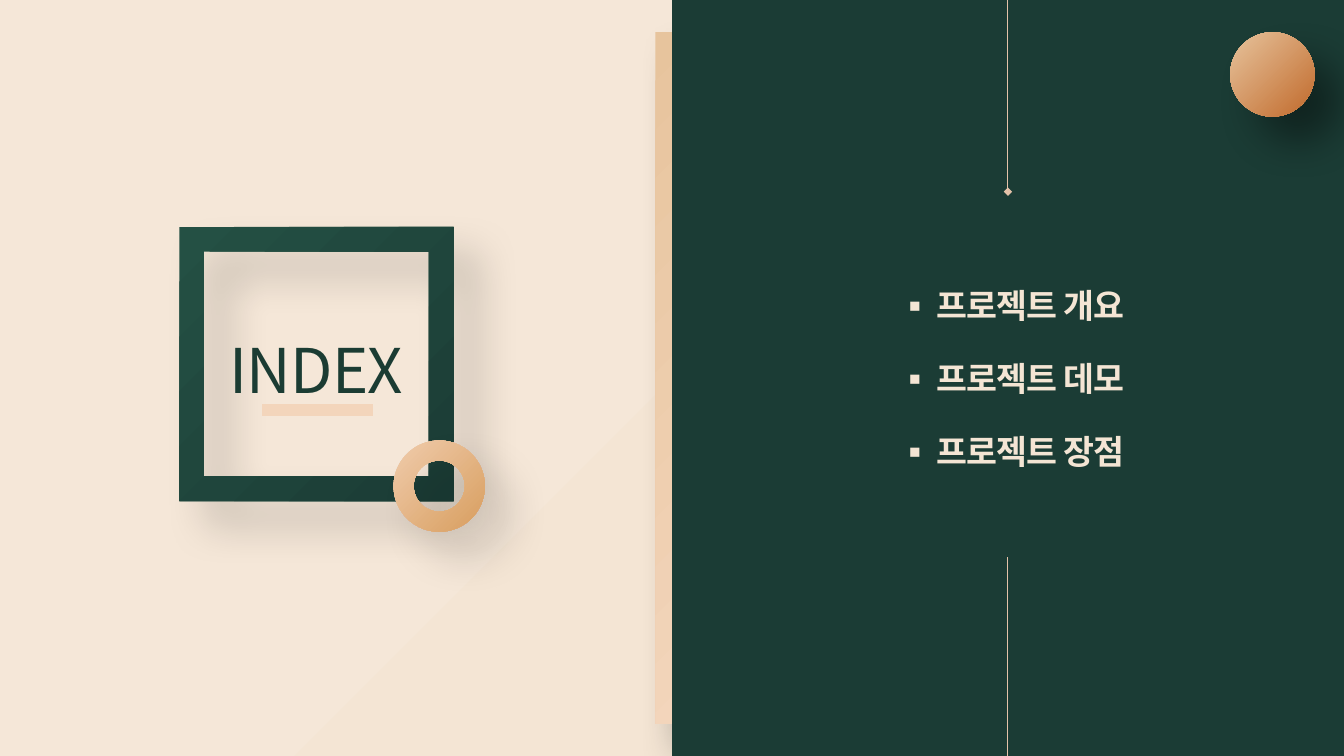
from lxml.etree import SubElement
from pptx import Presentation
from pptx.dml.color import RGBColor
from pptx.enum.shapes import MSO_CONNECTOR as LINE, MSO_SHAPE as SHAPE
from pptx.enum.text import MSO_ANCHOR as ANCHOR, PP_ALIGN as ALIGN
from pptx.oxml.ns import qn
from pptx.util import Cm, Pt

WIDTH, HEIGHT, MARGIN = 33.87, 19.05, 0.81
FONT = "Noto Sans CJK KR"
GREEN, CREAM, TAN, PEACH = "1B3C33", "F4E5D4", "E4C2A9", "F3D5BB"
TOPICS = ["프로젝트 개요", "프로젝트 데모", "프로젝트 장점"]


def color(value):
    """Turn a hex string into a colour."""
    return RGBColor.from_string(value)


def set_all(target, values):
    """Set every attribute named in a dict."""
    for name, value in values.items():
        setattr(target, name, value)


def add_xml(parent, tag, **attributes):
    """Append a child element and return it."""
    return SubElement(parent, qn(tag), {key: str(value) for key, value in attributes.items()})


def fill_gradient(fill, first, last):
    """Apply a two-colour gradient running from top left to bottom right."""
    fill.gradient()
    fill.gradient_angle = 315
    for stop, value in zip(fill.gradient_stops, (first, last)):
        stop.color.rgb = color(value)


def add_block(page, kind, box, colors, shadow=None, adjust=None):
    """Draw a gradient shape, with a soft shadow of the given opacity percentage."""
    shape = page.shapes.add_shape(kind, *map(Cm, box))
    fill_gradient(shape.fill, *colors)
    shape.line.fill.background()
    shape.shadow.inherit = False
    if adjust is not None:
        shape.adjustments[0] = adjust
    if shadow is not None:
        effects = shape._element.spPr.find(qn("a:effectLst"))
        outer = add_xml(effects, "a:outerShdw", blurRad=Pt(30), dist=Pt(26),
                        dir=45 * 60000, algn="tl", rotWithShape=0)
        shade = add_xml(outer, "a:srgbClr", val="000000")
        add_xml(shade, "a:alpha", val=shadow * 1000)


def add_line(shapes, start, end, value, width, tail=None):
    """Draw a straight line, optionally with an end marker."""
    line = shapes.add_connector(LINE.STRAIGHT, *map(Cm, start + end))
    line.line.color.rgb = color(value)
    line.line.width = Pt(width)
    properties = line._element.spPr
    if tail:
        add_xml(properties.find(qn("a:ln")), "a:tailEnd", type=tail)
    add_xml(properties, "a:effectLst")


def add_text_frame(page, box, inset):
    """Add a wrapping, vertically centred text box and return its frame."""
    frame = page.shapes.add_textbox(*map(Cm, box)).text_frame
    set_all(frame, {"word_wrap": True, "vertical_anchor": ANCHOR.MIDDLE})
    if not inset:
        set_all(frame, dict.fromkeys(
            ("margin_left", "margin_top", "margin_right", "margin_bottom"), 0))
    return frame


def add_span(para, text, value, **formats):
    """Add a run in the deck font with slightly tight spacing."""
    span = para.add_run()
    span.text = text
    set_all(span.font, {"name": FONT, **formats})
    span.font.color.rgb = color(value)
    properties = span._r.get_or_add_rPr()
    properties.set("spc", "-60")
    add_xml(properties, "a:ea", typeface=FONT)


def add_backdrop(page, box):
    """Paint the cream background, the peach strip and the green right half."""
    left, top, width, height = box
    middle = left + width / 2
    fill_gradient(page.background.fill, "F5E7D8", CREAM)
    add_block(page, SHAPE.RECTANGLE,
              (middle - 0.42, top + MARGIN, 0.94, height - 2 * MARGIN),
              ("E7C49D", PEACH), shadow=40)
    add_block(page, SHAPE.RECTANGLE, (middle, top, width / 2, height), ("1B3C35", GREEN))


def add_title(page, box):
    """Draw the framed and underlined title with its ring."""
    left, top, width, height = box
    add_block(page, SHAPE.FRAME, box, ("245044", "1B3C35"), shadow=17, adjust=0.09)
    add_block(page, SHAPE.DONUT, (left + 5.4, top + 5.38, 2.3, 2.3),
              ("F0CCAC", "D89E5F"), shadow=17, adjust=0.22)
    frame = add_text_frame(page, (left, top + 2.61, width, 1.57), inset=False)
    para = frame.paragraphs[0]
    set_all(para, {"alignment": ALIGN.CENTER, "line_spacing": 1.2})
    add_span(para, "INDEX", GREEN, size=Pt(44))
    center, base = left + width / 2 + 0.03, top + 4.61
    add_line(page.shapes, (center - 1.4, base), (center + 1.4, base), PEACH, 8)


def add_topics(page, box):
    """Write the bulleted topics between two vertical lines, beside a sphere."""
    left, top, width, height = box
    frame = add_text_frame(page, (left + 5.47, top + MARGIN, 9.37, height - 2 * MARGIN), inset=True)
    for index, topic in enumerate(TOPICS):
        para = frame.paragraphs[0] if index == 0 else frame.add_paragraph()
        if index:
            para.space_before = Pt(23.2)
        properties = para._p.get_or_add_pPr()
        properties.set("marL", str(Cm(0.95)))
        properties.set("indent", str(-Cm(0.95)))
        add_xml(properties, "a:buFont", typeface=FONT)
        add_xml(properties, "a:buChar", char="▪")
        add_span(para, topic, CREAM, size=Pt(24), bold=True)
    add_block(page, SHAPE.OVAL, (left + width - 2.87, top + MARGIN, 2.13, 2.13),
              ("E7C49D", "C16A2C"), shadow=40)
    center = left + width / 2
    lines = page.shapes.add_group_shape().shapes
    add_line(lines, (center, top), (center, top + 4.83), TAN, 0.75, tail="diamond")
    add_line(lines, (center, top + 14.04), (center, top + height), TAN, 0.75)


def main():
    """Build and save the index slide."""
    deck = Presentation()
    set_all(deck, {"slide_width": Cm(WIDTH), "slide_height": Cm(HEIGHT)})
    page = deck.slides.add_slide(deck.slide_layouts[6])
    add_backdrop(page, (0, 0, WIDTH, HEIGHT))
    add_title(page, (4.52, 5.72, 6.91, 6.91))
    add_topics(page, (WIDTH / 2, 0, WIDTH / 2, HEIGHT))
    deck.save("out.pptx")


if __name__ == "__main__":
    main()
